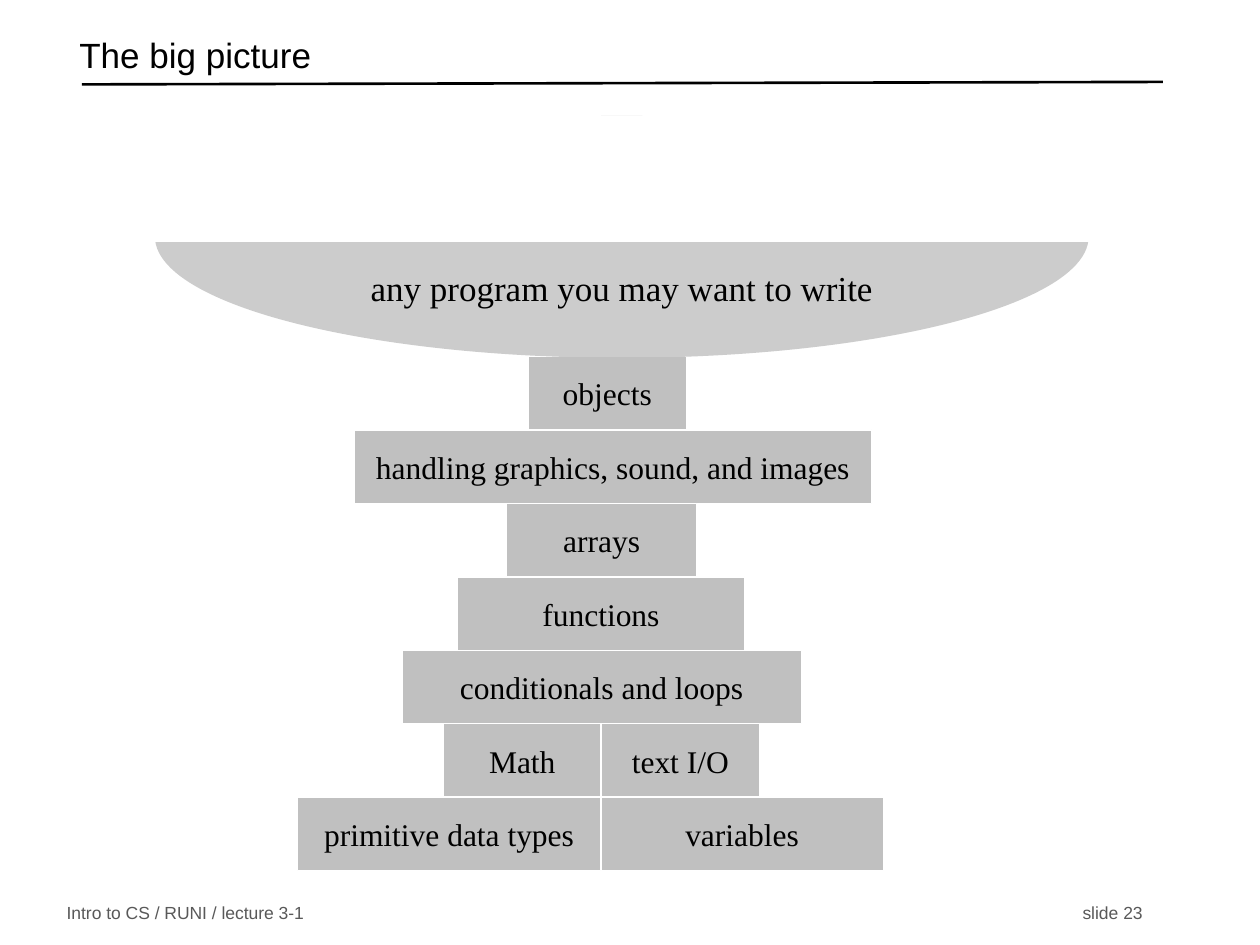
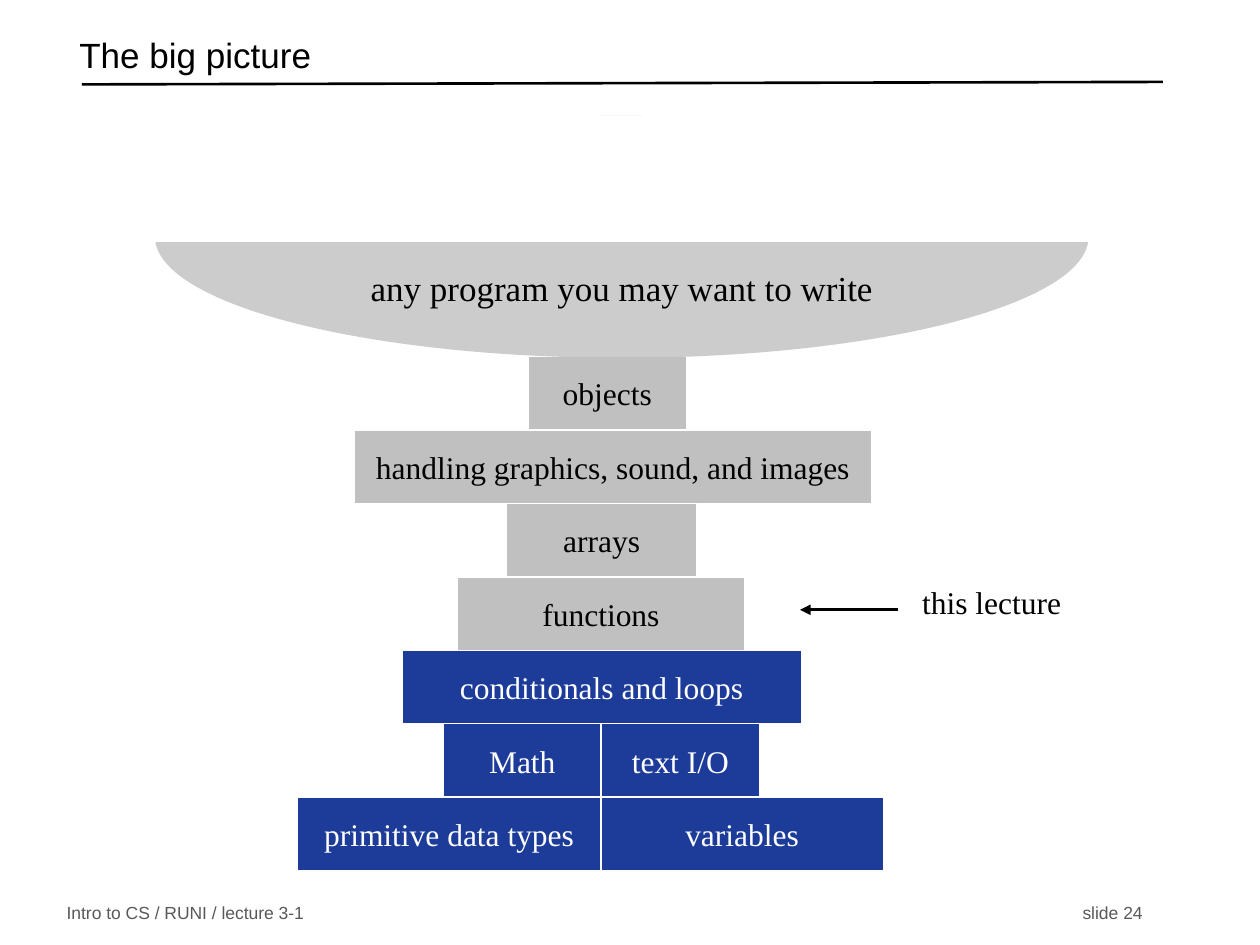
from lxml import etree
from pptx import Presentation
from pptx.dml.color import RGBColor
from pptx.enum.shapes import MSO_CONNECTOR, MSO_SHAPE
from pptx.enum.text import MSO_ANCHOR, MSO_AUTO_SIZE, PP_ALIGN
from pptx.oxml.ns import qn
from pptx.util import Inches, Pt

RECTANGLE, OVAL = MSO_SHAPE.RECTANGLE, MSO_SHAPE.OVAL
STRAIGHT = MSO_CONNECTOR.STRAIGHT
MIDDLE, BOTTOM = MSO_ANCHOR.MIDDLE, MSO_ANCHOR.BOTTOM
LEFT, CENTER = PP_ALIGN.LEFT, PP_ALIGN.CENTER

BLACK, WHITE, GREY = "000000", "FFFFFF", "C0C0C0"
FOOTER_GREY, COVERED_BLUE = "595959", "1D3C99"
SANS, SERIF = "Arial", "Times New Roman"

TITLE = "The big picture"
COURSE = "Intro to CS / RUNI / lecture 3-1"
FOOTER_TAB = 8.54

TOWER_TOP, TOWER_BOTTOM = 2.83, 6.91
# Rows from top to bottom; each block is (label, left, width).
TOWER = [
    [("objects", 4.19, 1.26)],
    [("handling graphics, sound, and images", 2.81, 4.11)],
    [("arrays", 4.02, 1.51)],
    [("functions", 3.63, 2.28)],
    [("conditionals and loops", 3.19, 3.17)],
    [("Math", 3.52, 1.25), ("text I/O", 4.77, 1.26)],
    [("primitive data types", 2.36, 2.41), ("variables", 4.77, 2.24)],
]
ROW_HEIGHT = (TOWER_BOTTOM - TOWER_TOP) / len(TOWER)
FIRST_COVERED_ROW = 4


def rgb(color):
    return RGBColor.from_string(color)


def write(shape, text, size, font, color, align=LEFT, anchor=MIDDLE, wrap=True):
    frame = shape.text_frame
    frame.word_wrap = wrap
    frame.vertical_anchor = anchor
    paragraph = frame.paragraphs[0]
    paragraph.text = text
    paragraph.alignment = align
    paragraph.font.size = Pt(size)
    paragraph.font.name = font
    paragraph.font.color.rgb = rgb(color)
    return paragraph


def add_filled_shape(slide, kind, left, top, width, height, fill, line=None):
    shape = slide.shapes.add_shape(
        kind, Inches(left), Inches(top), Inches(width), Inches(height))
    shape.shadow.inherit = False
    shape.fill.solid()
    shape.fill.fore_color.rgb = rgb(fill)
    if line:
        shape.line.color.rgb = rgb(line)
        shape.line.width = Pt(0.75)
    else:
        shape.line.fill.background()
    return shape


def add_line(slide, start, end, width, arrow=False):
    connector = slide.shapes.add_connector(
        STRAIGHT, *(Inches(value) for value in (*start, *end)))
    connector.line.color.rgb = rgb(BLACK)
    connector.line.width = Pt(width)
    if arrow:
        etree.SubElement(connector.line._get_or_add_ln(), qn("a:tailEnd"), type="triangle")
    etree.SubElement(connector._element.spPr, qn("a:effectLst"))


def add_title(slide):
    title = slide.shapes.title
    title.left, title.top = Inches(0.53), Inches(0.22)
    title.width, title.height = Inches(8.6), Inches(0.5)
    paragraph = write(title, TITLE, 20, SANS, BLACK)
    paragraph.line_spacing = 0.7
    title.text_frame.auto_size = MSO_AUTO_SIZE.NONE
    add_line(slide, (0.65, 0.67), (9.23, 0.65), 1.5)


def add_footer(slide, number):
    box = slide.shapes.add_textbox(Inches(0.43), Inches(7.14), Inches(8.75), Inches(0.21))
    paragraph = box.text_frame.paragraphs[0]
    tabs = etree.SubElement(paragraph._p.get_or_add_pPr(), qn("a:tabLst"))
    etree.SubElement(tabs, qn("a:tab"), pos=str(Inches(FOOTER_TAB)), algn="r")
    write(box, f"{COURSE}\tslide {number}", 10, SANS, FOOTER_GREY)


def add_tower(slide, covered):
    """Stack the topic blocks; covered paints the topics already taught."""
    for row, blocks in enumerate(TOWER):
        taught = covered and row >= FIRST_COVERED_ROW
        fill, color = (COVERED_BLUE, WHITE) if taught else (GREY, BLACK)
        for label, left, width in blocks:
            block = add_filled_shape(slide, RECTANGLE, left, TOWER_TOP + row * ROW_HEIGHT,
                                     width, ROW_HEIGHT, fill, WHITE)
            write(block, label, 18, SERIF, color, CENTER, wrap=False)


def add_bowl(slide):
    """Draw a translucent ellipse whose upper half is masked in white."""
    bowl = add_filled_shape(slide, OVAL, 1.23, 0.92, 7.41, 1.92, GREY)
    color = bowl._element.spPr.find(qn("a:solidFill"))[0]
    etree.SubElement(color, qn("a:alpha"), val="80000")
    write(bowl, "any program you may want to write", 20, SERIF, BLACK,
          CENTER, BOTTOM, wrap=False)
    bowl.text_frame.margin_bottom = Inches(0.11)
    add_filled_shape(slide, RECTANGLE, 0.17, 0.92, 9.67, 1, WHITE)


def add_lecture_pointer(slide):
    label = slide.shapes.add_textbox(Inches(7.22), Inches(4.58), Inches(1.79), Inches(0.4))
    write(label, "this lecture", 18, SERIF, BLACK)
    add_line(slide, (7.13, 4.84), (6.35, 4.84), 1.75, arrow=True)


def add_big_picture(presentation, number, covered=False):
    slide = presentation.slides.add_slide(presentation.slide_layouts[5])
    add_title(slide)
    add_footer(slide, number)
    add_tower(slide, covered)
    add_bowl(slide)
    return slide


def main():
    presentation = Presentation()
    presentation.slide_width, presentation.slide_height = Inches(10), Inches(7.5)
    add_big_picture(presentation, 23)
    add_lecture_pointer(add_big_picture(presentation, 24, covered=True))
    presentation.save("out.pptx")


if __name__ == "__main__":
    main()
